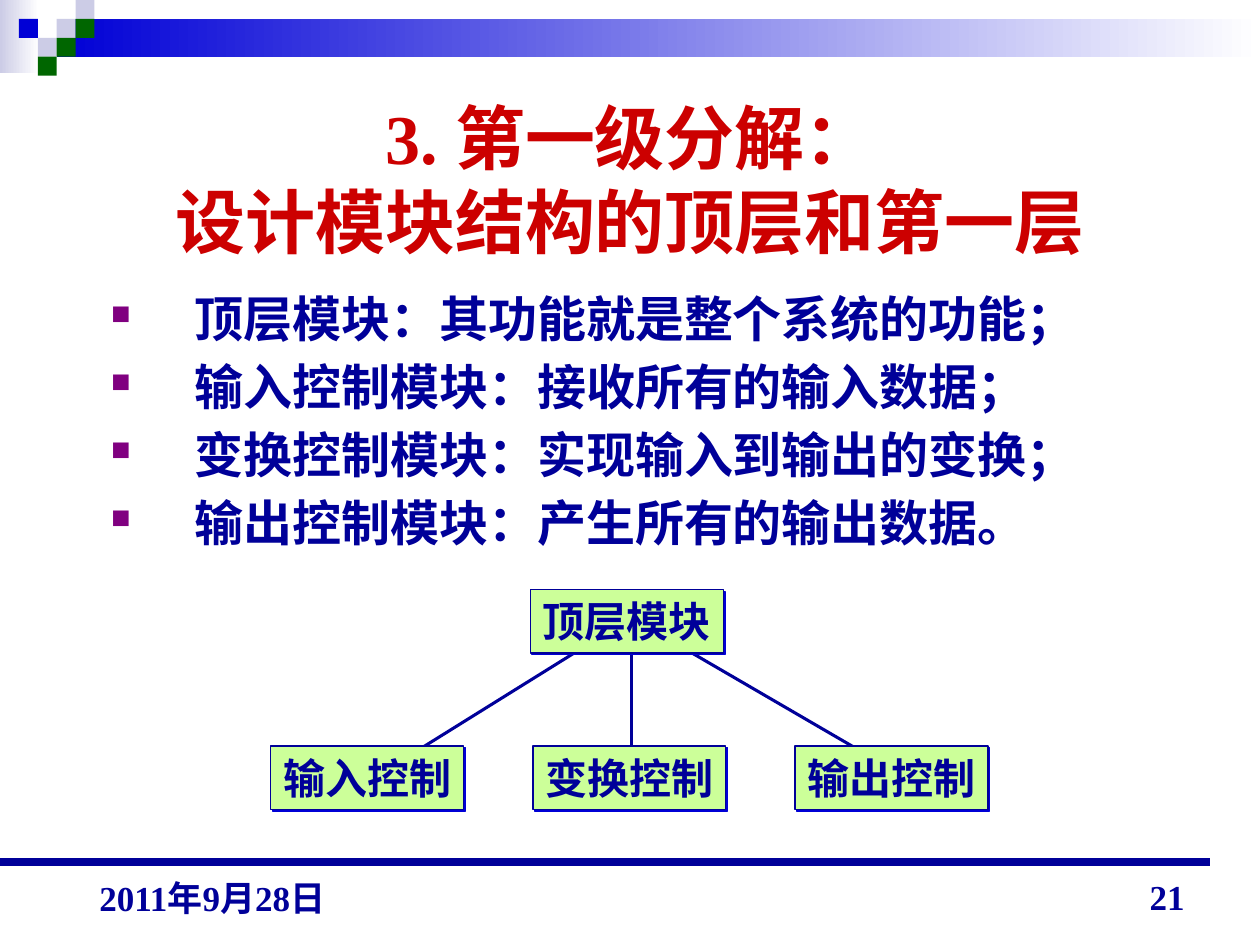
from lxml import etree
from pptx import Presentation
from pptx.dml.color import RGBColor
from pptx.enum.shapes import MSO_CONNECTOR, MSO_SHAPE
from pptx.enum.text import MSO_ANCHOR as ANCHOR, PP_ALIGN as ALIGN
from pptx.oxml.ns import qn
from pptx.util import Pt

NAVY = RGBColor(0x00, 0x00, 0x99)
BLUE = RGBColor(0x00, 0x00, 0xD6)
RED = RGBColor(0xCC, 0x00, 0x00)
PURPLE = RGBColor(0x80, 0x00, 0x80)
LIME = RGBColor(0xCC, 0xFF, 0x99)
GREEN = RGBColor(0x00, 0x66, 0x00)
LILAC = RGBColor(0xCC, 0xCC, 0xE6)
WHITE = RGBColor(0xFF, 0xFF, 0xFF)
FONT = "Times New Roman"

TITLE = "3. 第一级分解：\v设计模块结构的顶层和第一层"
DUTIES = [
    "顶层模块：其功能就是整个系统的功能；",
    "输入控制模块：接收所有的输入数据；",
    "变换控制模块：实现输入到输出的变换；",
    "输出控制模块：产生所有的输出数据。",
]
DATE, PAGE = "2011年9月28日", "21"

TOP_MODULE = ("顶层模块", 303.1, 337)
CHILD_MODULES = ["输入控制", "变换控制", "输出控制"]
CHILD_LEFT, CHILD_TOP, CHILD_STEP = 154.8, 426.3, 149.8
MODULE_SIZE = (110.2, 36.2)
BRANCHES = [  # start and end of each line below the top module
    ((500.4, 434.2), (393.8, 372.2)),
    ((360.7, 435.6), (360.7, 370.8)),
    ((234.7, 431.3), (331.9, 370.8)),
]

BANDS = [  # box, left colour
    ((0, 0, 22.3, 41.8), LILAC),
    ((32.4, 10.8, 687.6, 21.6), BLUE),
]
TILE = 10.8
TILES = [  # column, row, colour
    (3, 1, LILAC), (4, 0, LILAC), (4, 1, GREEN), (2, 2, LILAC),
    (1, 1, BLUE), (3, 2, GREEN), (2, 3, GREEN),
]


def write(frame, *texts, size, color=NAVY, align=ALIGN.LEFT,
          anchor=ANCHOR.TOP, wrap=True, bullet=None, gap=0):
    frame.word_wrap = wrap
    frame.vertical_anchor = anchor
    for index, text in enumerate(texts):
        paragraph = frame.add_paragraph() if index else frame.paragraphs[0]
        paragraph.text = text
        if bullet:
            add_bullet(paragraph, bullet)
        paragraph.alignment = align
        if index:
            paragraph.space_before = Pt(gap)
        for run in paragraph.runs:
            run.font.name, run.font.size, run.font.bold = FONT, Pt(size), True
            run.font.color.rgb = color


def add_bullet(paragraph, char, indent=48):
    props = paragraph._p.get_or_add_pPr()
    props.set("marL", str(Pt(indent)))
    props.set("indent", str(-Pt(indent)))
    tint = etree.SubElement(props, qn("a:buClr"))
    etree.SubElement(tint, qn("a:srgbClr"), val=str(PURPLE))
    etree.SubElement(props, qn("a:buSzPct"), val="55000")
    etree.SubElement(props, qn("a:buChar"), char=char)


def add_text(slide, box, *texts, **style):
    write(slide.shapes.add_textbox(*map(Pt, box)).text_frame, *texts, **style)


def add_rect(slide, box, color, fade=False):
    """Add a borderless rectangle, optionally fading to white on the right."""
    rect = slide.shapes.add_shape(MSO_SHAPE.RECTANGLE, *map(Pt, box))
    rect.shadow.inherit = False
    rect.line.fill.background()
    if fade:
        rect.fill.gradient()
        rect.fill.gradient_angle = 0
        for stop, tone in zip(rect.fill.gradient_stops, (color, WHITE)):
            stop.color.rgb = tone
    else:
        rect.fill.solid()
        rect.fill.fore_color.rgb = color
    return rect


def add_line(slide, start, end, width):
    line = slide.shapes.add_connector(
        MSO_CONNECTOR.STRAIGHT, *map(Pt, (*start, *end)))
    line.line.color.rgb = NAVY
    line.line.width = Pt(width)
    etree.SubElement(line._element.spPr, qn("a:effectLst"))


def add_module(slide, label, left, top):
    module = add_rect(slide, (left, top, *MODULE_SIZE), LIME)
    module.line.color.rgb = NAVY
    module.line.width = Pt(0.75)
    effects = module._element.spPr.find(qn("a:effectLst"))
    shadow = etree.SubElement(effects, qn("a:outerShdw"), dist=str(Pt(1.4)),
                              dir=str(45 * 60000), algn="ctr", rotWithShape="0")
    etree.SubElement(shadow, qn("a:srgbClr"), val=str(BLUE))
    write(module.text_frame, label, size=24, wrap=False)


def main():
    deck = Presentation()
    deck.slide_width, deck.slide_height = Pt(720), Pt(540)
    slide = deck.slides.add_slide(deck.slide_layouts[6])

    for box, color in BANDS:
        add_rect(slide, box, color, fade=True)
    for column, row, color in TILES:
        add_rect(slide, (column * TILE, row * TILE, TILE, TILE), color)
    add_line(slide, (0, 492.5), (691.2, 492.5), 4.5)

    add_text(slide, (36, 48.2, 648, 108), TITLE, size=40, color=RED,
             align=ALIGN.CENTER, anchor=ANCHOR.MIDDLE)
    add_text(slide, (56.2, 161.3, 622, 170.6), *DUTIES, size=28,
             align=ALIGN.JUSTIFY, bullet="■", gap=5.2)

    for start, end in BRANCHES:
        add_line(slide, start, end, 1.75)
    add_module(slide, *TOP_MODULE)
    for index, label in enumerate(CHILD_MODULES):
        add_module(slide, label, CHILD_LEFT + index * CHILD_STEP, CHILD_TOP)

    add_text(slide, (49.7, 491, 167.8, 37.4), DATE, size=20,
             anchor=ANCHOR.BOTTOM)
    add_text(slide, (516.2, 491.8, 167.8, 36), PAGE, size=20,
             align=ALIGN.RIGHT, anchor=ANCHOR.BOTTOM)
    deck.save("out.pptx")


if __name__ == "__main__":
    main()
